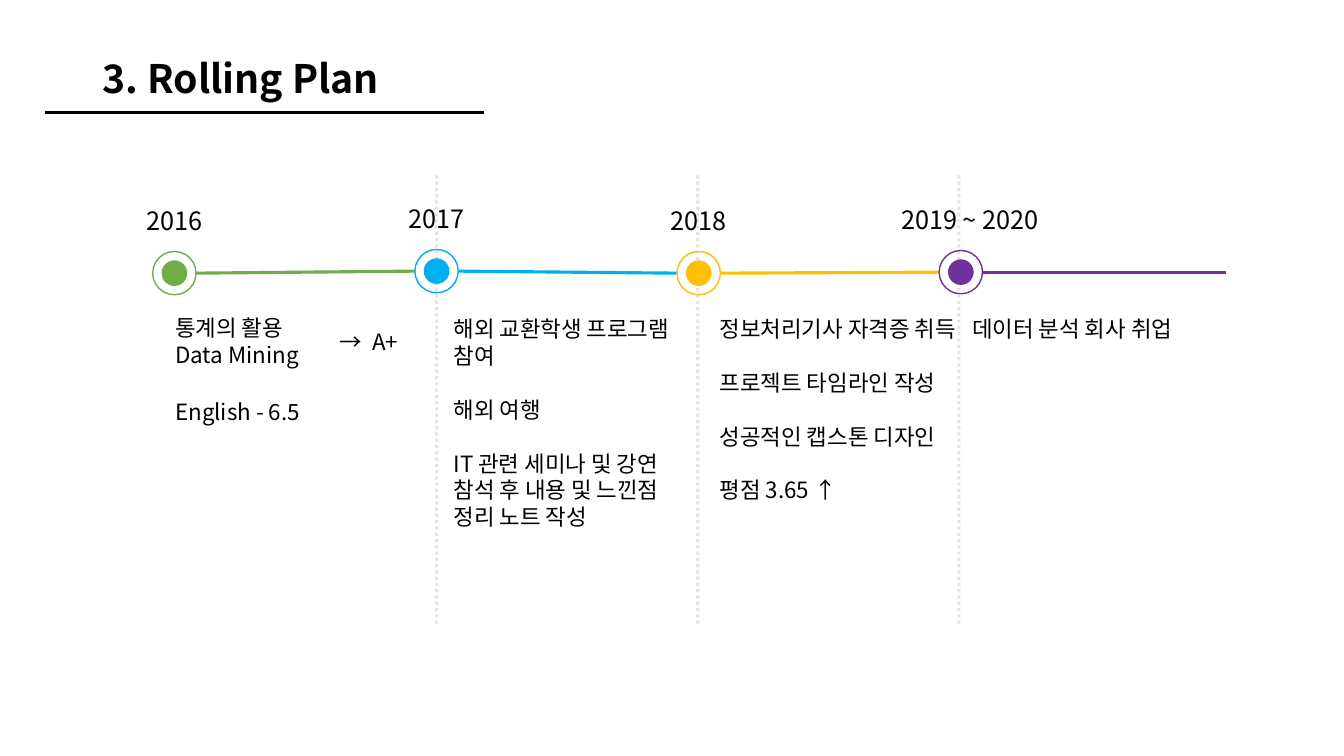
from dataclasses import dataclass

from lxml.etree import SubElement
from pptx import Presentation
from pptx.dml.color import RGBColor
from pptx.enum.dml import MSO_LINE
from pptx.enum.shapes import MSO_CONNECTOR, MSO_SHAPE
from pptx.enum.text import MSO_ANCHOR, PP_ALIGN
from pptx.oxml.ns import qn
from pptx.shapes.connector import Connector
from pptx.slide import Slide
from pptx.util import Inches, Pt

FONT = "Noto Sans CJK KR"
BLACK = "000000"
RING, DOT = 0.43, 0.24
FIRST_CENTER, YEAR_STEP = 1.73, 2.6
ITEM_GAP = 19.2


@dataclass
class Milestone:
    year: str
    color: str
    center_y: float
    line_end: tuple[float, float]
    label_width: float = 1.33
    label_shift: float = 0


@dataclass
class Note:
    left: float
    top: float
    width: float
    height: float
    items: list[str]
    gap: float = ITEM_GAP
    align: PP_ALIGN = PP_ALIGN.LEFT
    line_spacing: float = 1.0


MILESTONES = [
    Milestone("2016", "70AD47", 2.71, (4.12, 2.69)),
    Milestone("2017", "00B0F0", 2.69, (6.72, 2.71)),
    Milestone("2018", "FFC000", 2.71, (9.32, 2.7)),
    Milestone("2019 ~ 2020", "7030A0", 2.7, (12.16, 2.7), 1.94, 0.09),
]

NOTES = [
    Note(1.64, 3.07, 1.84, 0.64, ["통계의 활용", "Data Mining"], gap=0),
    Note(3.22, 3.21, 0.88, 0.37, ["→  A+"], align=PP_ALIGN.CENTER),
    Note(1.64, 3.9, 2.55, 0.64, ["English - 6.5"]),
    Note(4.4, 3.08, 2.44, 2.26, [
        "해외 교환학생 프로그램 참여",
        "해외 여행",
        "IT 관련 세미나 및 강연 참석 후 내용 및 느낀점\v정리 노트 작성",
    ]),
    Note(7.04, 3.08, 2.69, 1.99, [
        "정보처리기사 자격증 취득",
        "프로젝트 타임라인 작성",
        "성공적인 캡스톤 디자인",
        "평점 3.65 ↑",
    ]),
    Note(9.25, 3.08, 2.77, 0.37, ["데이터 분석 회사 취업"], align=PP_ALIGN.CENTER),
]


def rgb(color: str) -> RGBColor:
    return RGBColor.from_string(color)


def add_note(slide: Slide, note: Note, size: float, bold: bool = False,
             anchor: MSO_ANCHOR = MSO_ANCHOR.TOP) -> None:
    """Write one paragraph per item, with the note's gap between items."""
    box = slide.shapes.add_textbox(Inches(note.left), Inches(note.top),
                                   Inches(note.width), Inches(note.height))
    frame = box.text_frame
    frame.word_wrap = True
    frame.vertical_anchor = anchor
    frame.text = "\n".join(note.items)
    for index, paragraph in enumerate(frame.paragraphs):
        paragraph.alignment = note.align
        paragraph.line_spacing = note.line_spacing
        paragraph.space_before = Pt(note.gap if index else 0)
        font = paragraph.font
        font.name, font.size, font.bold = FONT, Pt(size), bold
        font.color.rgb = rgb(BLACK)
        run_defaults = paragraph._p.pPr.find(qn("a:defRPr"))
        SubElement(run_defaults, qn("a:ea"), typeface=FONT)


def add_line(slide: Slide, start: tuple[float, float], end: tuple[float, float],
             color: str) -> Connector:
    line = slide.shapes.add_connector(MSO_CONNECTOR.STRAIGHT,
                                      *map(Inches, start + end))
    line.line.color.rgb = rgb(color)
    line.line.width = Pt(2.25)
    SubElement(line._element.spPr, qn("a:effectLst"))
    return line


def add_divider(slide: Slide, x: float) -> None:
    divider = add_line(slide, (x, 1.74), (x, 6.2), "A6A6A6")
    divider.line.dash_style = MSO_LINE.ROUND_DOT
    color = divider._element.spPr.find(".//" + qn("a:srgbClr"))
    SubElement(color, qn("a:alpha"), val="30000")


def add_circle(slide: Slide, x: float, y: float, diameter: float, color: str,
               filled: bool) -> None:
    """Draw a circle around the centre point x, y."""
    circle = slide.shapes.add_shape(
        MSO_SHAPE.OVAL, Inches(x - diameter / 2), Inches(y - diameter / 2),
        Inches(diameter), Inches(diameter))
    circle.shadow.inherit = False
    if filled:
        circle.fill.solid()
        circle.fill.fore_color.rgb = rgb(color)
    else:
        circle.fill.background()
    circle.line.color.rgb = rgb(color)
    circle.line.width = Pt(1)


def add_milestone(slide: Slide, milestone: Milestone, x: float) -> None:
    y, color = milestone.center_y, milestone.color
    add_line(slide, (x + RING / 2, y), milestone.line_end, color)
    add_circle(slide, x, y, RING, color, filled=False)
    add_circle(slide, x, y, DOT, color, filled=True)
    width = milestone.label_width
    label = Note(x - width / 2 + milestone.label_shift, y - 0.72, width, 0.4,
                 [milestone.year], align=PP_ALIGN.CENTER)
    add_note(slide, label, 18)


def main() -> None:
    presentation = Presentation()
    presentation.slide_width = Inches(13.33)
    presentation.slide_height = Inches(7.5)
    slide = presentation.slides.add_slide(presentation.slide_layouts[6])

    for index in range(3):
        add_divider(slide, 4.33 + index * 2.59)
    title = Note(0.92, 0.4, 11.5, 0.8, ["3. Rolling Plan"], line_spacing=0.9)
    add_note(slide, title, 28, bold=True, anchor=MSO_ANCHOR.MIDDLE)
    add_line(slide, (0.45, 1.12), (4.8, 1.12), BLACK)
    for index, milestone in enumerate(MILESTONES):
        add_milestone(slide, milestone, FIRST_CENTER + index * YEAR_STEP)
    for note in NOTES:
        add_note(slide, note, 16)

    presentation.save("out.pptx")


if __name__ == "__main__":
    main()
